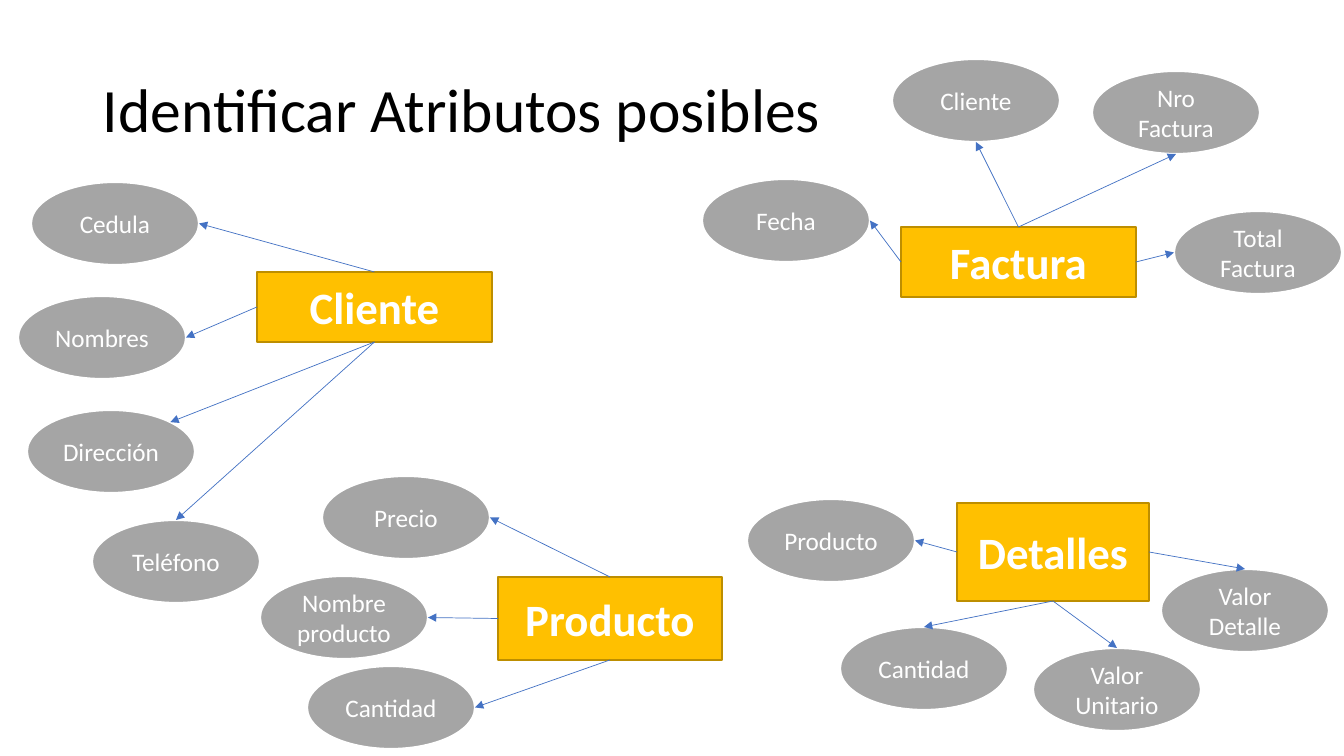
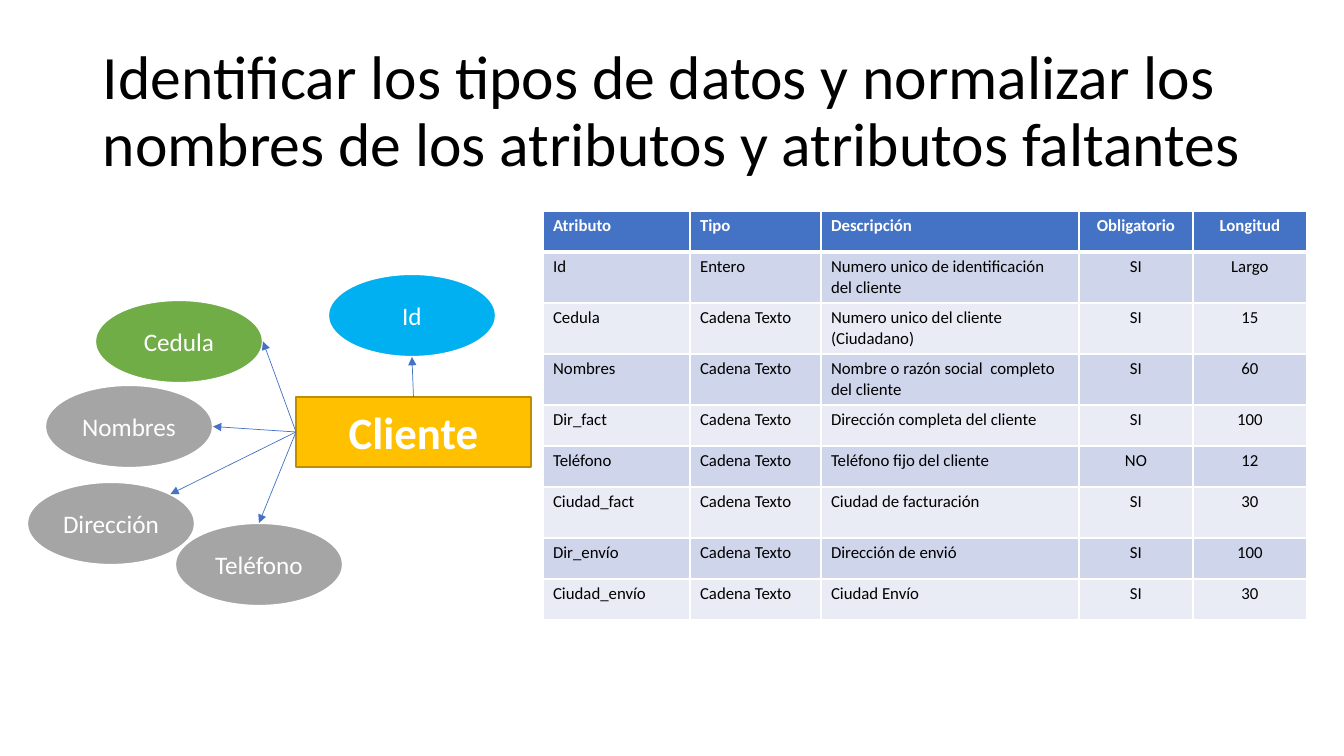
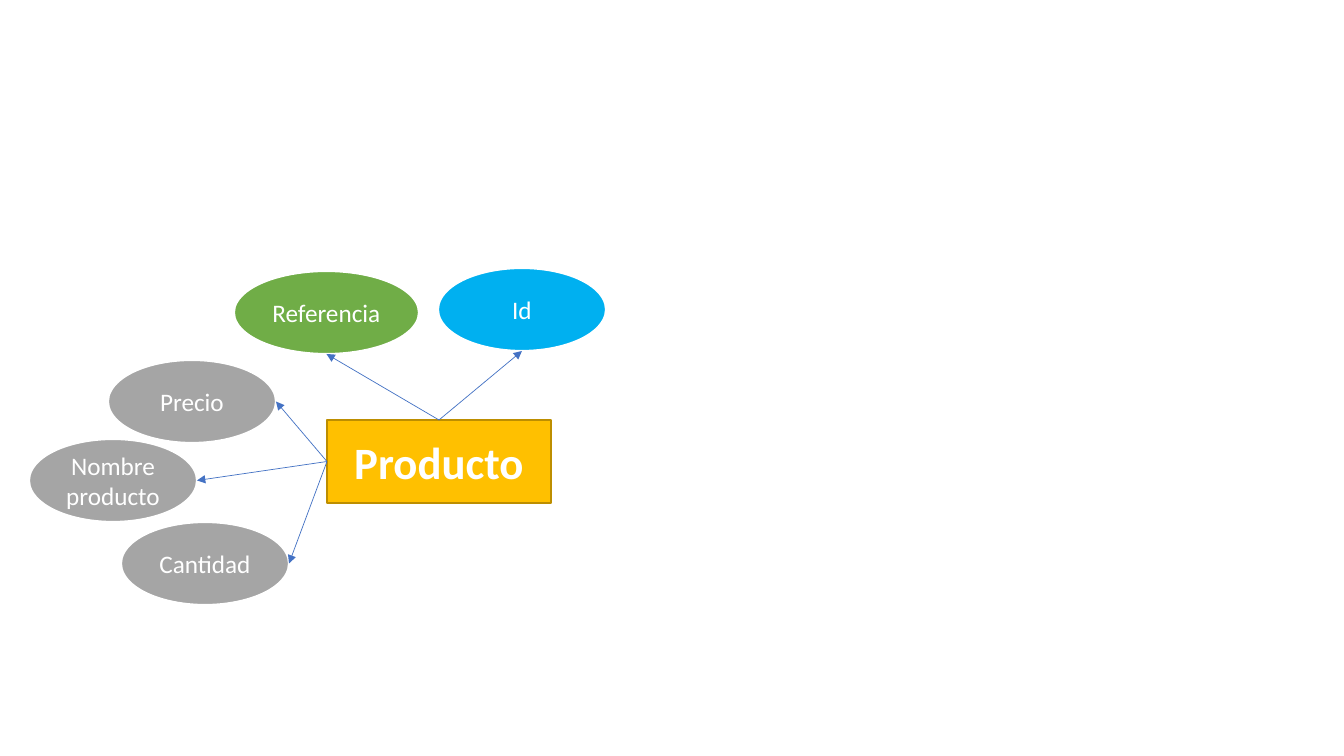
from dataclasses import dataclass
from enum import Enum
from math import sqrt

from lxml.etree import SubElement
from pptx import Presentation
from pptx.dml.color import RGBColor
from pptx.enum.shapes import MSO_CONNECTOR, MSO_SHAPE
from pptx.enum.text import MSO_ANCHOR, PP_ALIGN
from pptx.oxml.ns import qn
from pptx.slide import Slide
from pptx.table import _Cell
from pptx.text.text import TextFrame
from pptx.util import Emu, Pt

PIXELS_PER_INCH = 100.8
FONT = "Calibri"
BLACK = RGBColor(0x00, 0x00, 0x00)
WHITE = RGBColor(0xFF, 0xFF, 0xFF)
BLUE = RGBColor(0x44, 0x72, 0xC4)
GOLD = RGBColor(0xFF, 0xC0, 0x00)
DARK_GOLD = RGBColor(0xBD, 0x8E, 0x00)
GRAY = RGBColor(0xA5, 0xA5, 0xA5)
GREEN = RGBColor(0x70, 0xAD, 0x47)
SKY = RGBColor(0x00, 0xB0, 0xF0)
DARK_BAND = RGBColor(0xCF, 0xD5, 0xEA)
LIGHT_BAND = RGBColor(0xE9, 0xEB, 0xF5)
DIAGONAL = sqrt(0.5) / 2


class Site(Enum):
    TOP = (0.5, 0)
    LEFT = (0, 0.5)
    BOTTOM = (0.5, 1)
    RIGHT = (1, 0.5)
    UPPER_RIGHT = (0.5 + DIAGONAL, 0.5 - DIAGONAL)


@dataclass(frozen=True)
class Area:
    left: int
    top: int
    width: int
    height: int

    def emu(self) -> tuple[Emu, ...]:
        return tuple(map(px, (self.left, self.top, self.width, self.height)))

    def point(self, site: Site) -> tuple[Emu, Emu]:
        across, down = site.value
        return px(self.left + across * self.width), px(self.top + down * self.height)


@dataclass(frozen=True)
class Attribute:
    name: str
    left: int
    top: int
    start: Site
    end: Site
    color: RGBColor = GRAY
    width: int = 168

    def area(self) -> Area:
        return Area(self.left, self.top, self.width, 83)


@dataclass(frozen=True)
class Entity:
    name: str
    area: Area
    attributes: tuple[Attribute, ...]


TITLE_AREA = Area(93, 40, 1159, 146)

ATTRIBUTE_ENTITIES = (
    Entity("Cliente", Area(257, 272, 235, 70), (
        Attribute("Cedula", 31, 182, Site.TOP, Site.RIGHT),
        Attribute("Nombres", 18, 296, Site.LEFT, Site.RIGHT),
        Attribute("Dirección", 27, 410, Site.BOTTOM, Site.UPPER_RIGHT),
        Attribute("Teléfono", 92, 520, Site.BOTTOM, Site.TOP),
    )),
    Entity("Factura", Area(901, 227, 235, 70), (
        Attribute("Cliente", 892, 59, Site.TOP, Site.BOTTOM),
        Attribute("Nro Factura", 1092, 71, Site.TOP, Site.BOTTOM),
        Attribute("Fecha", 702, 179, Site.LEFT, Site.RIGHT),
        Attribute("Total Factura", 1174, 211, Site.RIGHT, Site.LEFT),
    )),
    Entity("Detalles", Area(957, 503, 192, 98), (
        Attribute("Cantidad", 840, 627, Site.BOTTOM, Site.TOP),
        Attribute("Producto", 747, 499, Site.LEFT, Site.RIGHT),
        Attribute("Valor Unitario", 1033, 648, Site.BOTTOM, Site.TOP),
        Attribute("Valor Detalle", 1161, 569, Site.RIGHT, Site.TOP),
    )),
    Entity("Producto", Area(498, 577, 224, 83), (
        Attribute("Nombre producto", 260, 576, Site.LEFT, Site.RIGHT),
        Attribute("Cantidad", 307, 666, Site.BOTTOM, Site.RIGHT),
        Attribute("Precio", 322, 476, Site.TOP, Site.RIGHT),
    )),
)

TYPED_CLIENT = Entity("Cliente", Area(296, 397, 235, 70), (
    Attribute("Nombres", 45, 385, Site.LEFT, Site.RIGHT),
    Attribute("Dirección", 27, 482, Site.LEFT, Site.UPPER_RIGHT),
    Attribute("Teléfono", 175, 523, Site.LEFT, Site.TOP),
    Attribute("Cedula", 95, 300, Site.LEFT, Site.RIGHT, GREEN),
    Attribute("Id", 328, 274, Site.TOP, Site.BOTTOM, SKY),
))

TYPED_PRODUCT = Entity("Producto", Area(327, 420, 224, 83), (
    Attribute("Nombre producto", 29, 439, Site.LEFT, Site.RIGHT),
    Attribute("Cantidad", 121, 522, Site.LEFT, Site.RIGHT),
    Attribute("Precio", 108, 360, Site.LEFT, Site.RIGHT),
    Attribute("Referencia", 234, 271, Site.TOP, Site.BOTTOM, GREEN, 185),
    Attribute("Id", 438, 268, Site.TOP, Site.BOTTOM, SKY),
))

CLIENT_COLUMNS = (147, 131, 258, 114, 114)
CLIENT_ROW_HEIGHTS = (41, 51, 51, 51, 41, 41, 51, 41, 41)
CLIENT_ROWS = (
    ("Atributo", "Tipo", "Descripción", "Obligatorio", "Longitud"),
    ("Id", "Entero", "Numero unico de identificación del cliente", "SI", "Largo"),
    ("Cedula", "Cadena Texto", "Numero unico del cliente (Ciudadano)", "SI", "15"),
    ("Nombres", "Cadena Texto", "Nombre o razón social  completo del cliente", "SI", "60"),
    ("Dir_fact", "Cadena Texto", "Dirección completa del cliente", "SI", "100"),
    ("Teléfono", "Cadena Texto", "Teléfono fijo del cliente", "NO", "12"),
    ("Ciudad_fact", "Cadena Texto", "Ciudad de facturación", "SI", "30"),
    ("Dir_envío", "Cadena Texto", "Dirección de envió", "SI", "100"),
    ("Ciudad_envío", "Cadena Texto", "Ciudad Envío", "SI", "30"),
)


def px(pixels: float) -> Emu:
    return Emu(round(pixels * 914400 / PIXELS_PER_INCH))


def write(frame: TextFrame, text: str, *, size: int, color: RGBColor = WHITE,
          bold: bool = False, align: PP_ALIGN = PP_ALIGN.LEFT,
          anchor: MSO_ANCHOR = MSO_ANCHOR.MIDDLE, spacing: float = 1.0) -> None:
    frame.word_wrap = True
    frame.vertical_anchor = anchor
    para = frame.paragraphs[0]
    para.alignment = align
    para.line_spacing = spacing
    span = para.add_run()
    span.text = text
    span.font.name = FONT
    span.font.size = Pt(size)
    span.font.bold = bold
    span.font.color.rgb = color


def add_title(page: Slide, text: str) -> None:
    box = page.shapes.add_textbox(*TITLE_AREA.emu())
    write(box.text_frame, text, size=44, color=BLACK, spacing=0.9)


def add_node(page: Slide, kind: MSO_SHAPE, area: Area, text: str, *, fill: RGBColor,
             outline: RGBColor, weight: float, size: int, bold: bool = False) -> None:
    node = page.shapes.add_shape(kind, *area.emu())
    node.shadow.inherit = False
    node.fill.solid()
    node.fill.fore_color.rgb = fill
    node.line.color.rgb = outline
    node.line.width = Pt(weight)
    write(node.text_frame, text, size=size, bold=bold, align=PP_ALIGN.CENTER)


def add_arrow(page: Slide, start: tuple[Emu, Emu], end: tuple[Emu, Emu]) -> None:
    arrow = page.shapes.add_connector(MSO_CONNECTOR.STRAIGHT, *start, *end)
    arrow.line.color.rgb = BLUE
    arrow.line.width = Pt(0.5)
    properties = arrow._element.spPr
    SubElement(properties.find(qn("a:ln")), qn("a:tailEnd"), type="triangle")
    SubElement(properties, qn("a:effectLst"))


def add_entity(page: Slide, entity: Entity) -> None:
    add_node(page, MSO_SHAPE.RECTANGLE, entity.area, entity.name, fill=GOLD,
             outline=DARK_GOLD, weight=1, size=32, bold=True)
    for attribute in entity.attributes:
        area = attribute.area()
        add_node(page, MSO_SHAPE.OVAL, area, attribute.name, fill=attribute.color,
                 outline=WHITE, weight=1.5, size=18)
        add_arrow(page, entity.area.point(attribute.start), area.point(attribute.end))


def add_borders(cell: _Cell, *, top: float, bottom: float) -> None:
    properties = cell._tc.get_or_add_tcPr()
    for side, weight in (("L", 1), ("R", 1), ("T", top), ("B", bottom)):
        line = SubElement(properties, qn(f"a:ln{side}"), w=str(Pt(weight)))
        fill = SubElement(line, qn("a:solidFill"))
        SubElement(fill, qn("a:srgbClr"), val=str(WHITE))


def add_client_table(page: Slide) -> None:
    area = Area(543, 211, sum(CLIENT_COLUMNS), sum(CLIENT_ROW_HEIGHTS))
    table = page.shapes.add_table(len(CLIENT_ROWS), len(CLIENT_COLUMNS), *area.emu()).table
    for column, width in zip(table.columns, CLIENT_COLUMNS):
        column.width = px(width)
    for row, height in zip(table.rows, CLIENT_ROW_HEIGHTS):
        row.height = px(height)
    for row_index, texts in enumerate(CLIENT_ROWS):
        header = row_index == 0
        band = BLUE if header else DARK_BAND if row_index % 2 else LIGHT_BAND
        for column_index, text in enumerate(texts):
            cell = table.cell(row_index, column_index)
            add_borders(cell, top=3 if row_index == 1 else 1, bottom=3 if header else 1)
            cell.fill.solid()
            cell.fill.fore_color.rgb = band
            write(cell.text_frame, text, size=12, bold=header,
                  color=WHITE if header else BLACK, anchor=MSO_ANCHOR.TOP,
                  align=PP_ALIGN.CENTER if column_index > 2 else PP_ALIGN.LEFT)


def main() -> None:
    deck = Presentation()
    deck.slide_width, deck.slide_height = px(1344), px(756)
    attributes_page, types_page, product_page = (
        deck.slides.add_slide(deck.slide_layouts[6]) for _ in range(3))

    add_title(attributes_page, "Identificar Atributos posibles")
    for entity in ATTRIBUTE_ENTITIES:
        add_entity(attributes_page, entity)

    add_title(types_page, "Identificar los tipos de datos y normalizar los "
                          "nombres de los atributos y atributos faltantes")
    add_entity(types_page, TYPED_CLIENT)
    add_client_table(types_page)

    add_entity(product_page, TYPED_PRODUCT)
    deck.save("out.pptx")


main()
